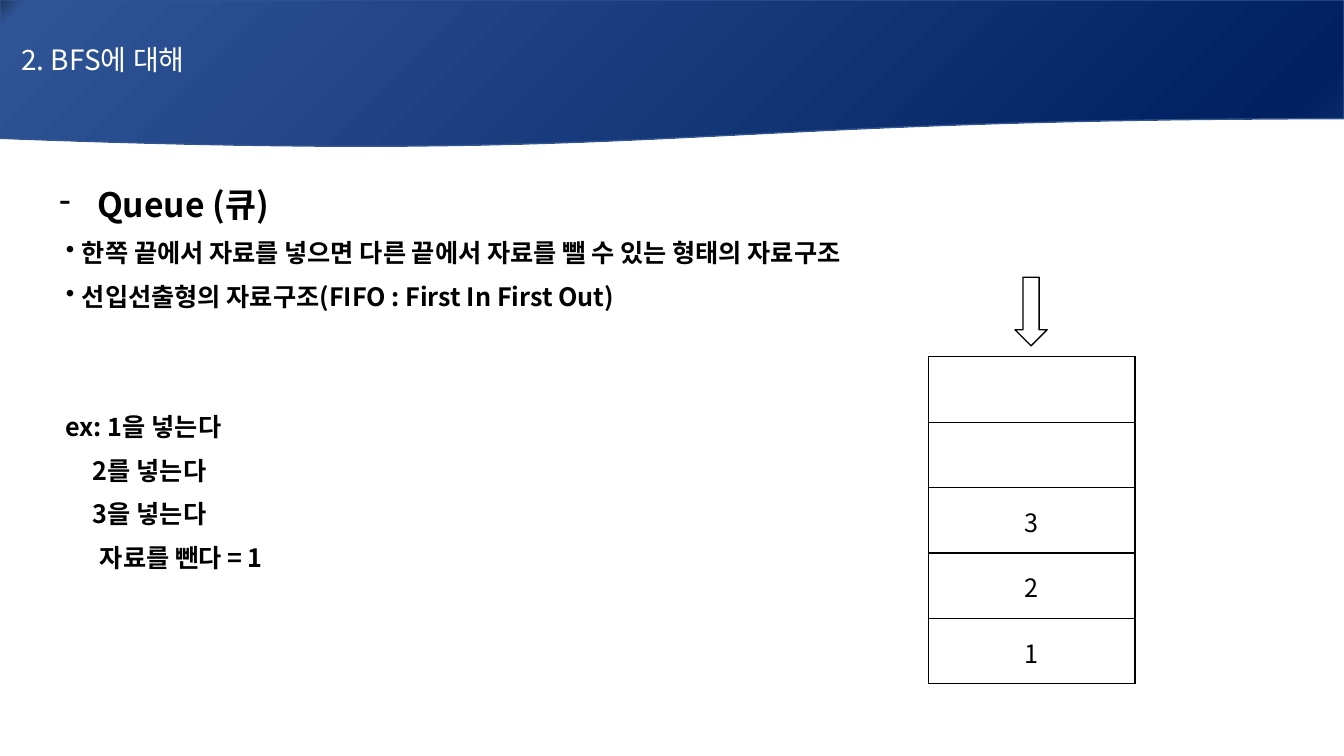
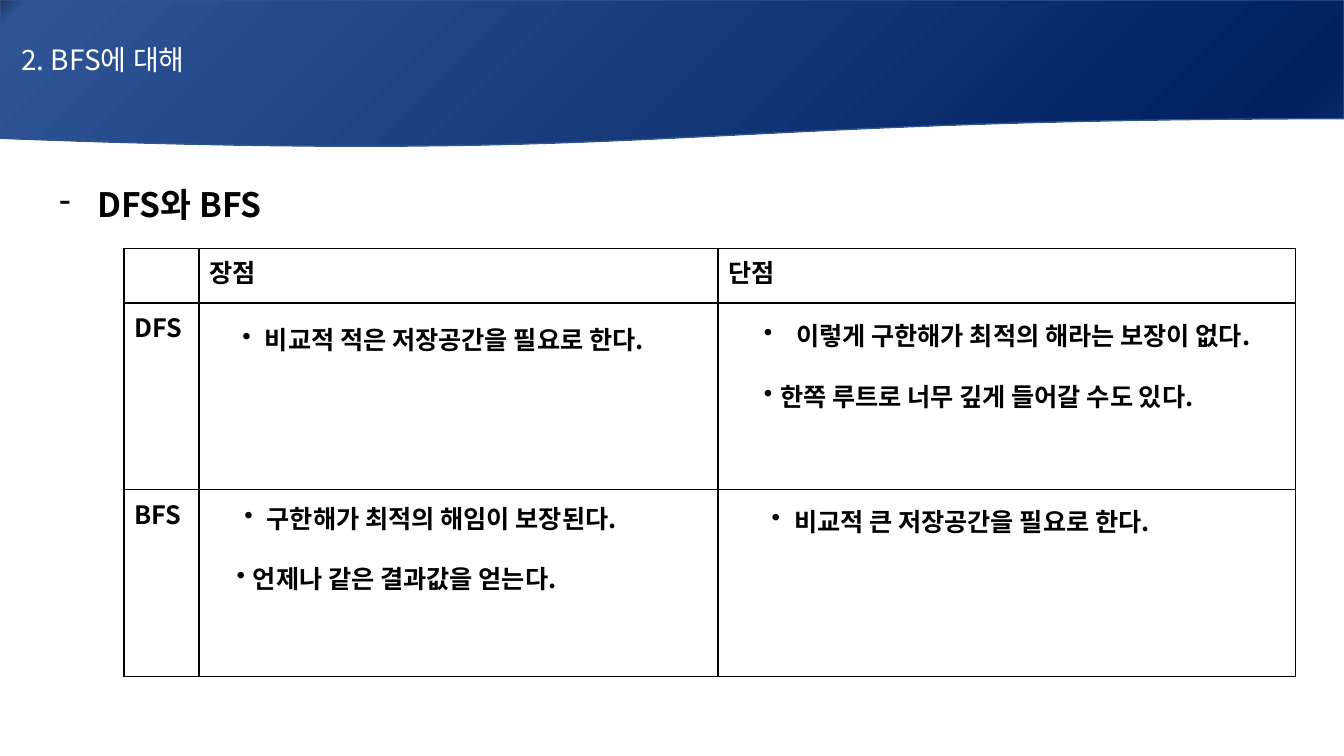
import pptx
import pptx.dml.color
import pptx.enum.shapes
import pptx.enum.text
import pptx.oxml
import pptx.oxml.ns
import pptx.util
from lxml import etree

Pt = pptx.util.Pt
SHAPE = pptx.enum.shapes.MSO_SHAPE
ALIGN = pptx.enum.text.PP_ALIGN
ANCHOR = pptx.enum.text.MSO_ANCHOR


def rgb(hex_color):
    return pptx.dml.color.RGBColor.from_string(hex_color)


def sub(parent, tag, **attrs):
    return etree.SubElement(parent, pptx.oxml.ns.qn(tag), **attrs)


class Deck:
    FONT = "Noto Sans CJK KR"
    BLACK = "000000"
    WHITE = "FFFFFF"
    BAND_LINE = "325491"
    BAND_STOPS = [(0, "203864"), (2, "2F5597"), (94, "002060"), (100, "0D2E6F")]
    WIDTH, HEIGHT = 960, 540
    BODY_SIZE, TITLE_SIZE, HEADING_SIZE = 18, 20, 24

    def __init__(self):
        self.prs = pptx.Presentation()
        self.prs.slide_width = Pt(self.WIDTH)
        self.prs.slide_height = Pt(self.HEIGHT)
        self.s = None

    def slide(self, title):
        self.s = self.prs.slides.add_slide(self.prs.slide_layouts[6])
        self.band(title)

    def style(self, p, size=BODY_SIZE, color=BLACK, bold=False):
        for r in p.runs:
            r.font.size = Pt(size)
            r.font.bold = bold
            r.font.name = self.FONT
            r.font.color.rgb = rgb(color)
            sub(r.font._element, "a:ea", typeface=self.FONT)

    def shape(self, kind, x, y, w, h, line):
        sp = self.s.shapes.add_shape(kind, Pt(x), Pt(y), Pt(w), Pt(h))
        sp.shadow.inherit = False
        sp.line.color.rgb = rgb(line)
        sp.line.width = Pt(1)
        return sp

    def band(self, title):
        sp = self.shape(SHAPE.FLOWCHART_DOCUMENT, 0, 0, self.WIDTH, 105.8, self.BAND_LINE)
        sp.fill.gradient()
        grad = sp._element.spPr.find(pptx.oxml.ns.qn("a:gradFill"))
        for child in list(grad):
            grad.remove(child)
        stops = sub(grad, "a:gsLst")
        for percent, color in self.BAND_STOPS:
            stop = sub(stops, "a:gs", pos=str(percent * 1000))
            sub(stop, "a:srgbClr", val=color)
        sub(grad, "a:lin", ang=str(45 * 60000), scaled="0")
        tf = sp.text_frame
        tf.margin_left = Pt(15.2)
        tf.vertical_anchor = ANCHOR.MIDDLE
        tf.text = title
        tf.paragraphs[0].alignment = ALIGN.LEFT
        self.style(tf.paragraphs[0], self.TITLE_SIZE, self.WHITE)

    def down_arrow(self, x, y, w, h):
        sp = self.shape(SHAPE.DOWN_ARROW, x, y, w, h, self.BLACK)
        sp.fill.solid()
        sp.fill.fore_color.rgb = rgb(self.WHITE)

    def text_box(self, x, y, w, h):
        tf = self.s.shapes.add_textbox(Pt(x), Pt(y), Pt(w), Pt(h)).text_frame
        tf.word_wrap = True
        tf.auto_size = pptx.enum.text.MSO_AUTO_SIZE.SHAPE_TO_FIT_TEXT
        return tf

    def paragraph(self, tf, text, left=0, hang=0, bullet=None, before=0, size=BODY_SIZE, bold=True):
        p = tf.paragraphs[0]
        if p.runs:
            p = tf.add_paragraph()
        p.text = text
        pPr = p._p.get_or_add_pPr()
        pPr.set("marL", str(Pt(left)))
        pPr.set("indent", str(Pt(-hang)))
        if bullet:
            sub(pPr, "a:buChar", char=bullet)
        if before:
            p.space_before = Pt(before)
        self.style(p, size, bold=bold)
        return p

    def body_paragraph(self, tf, text, **options):
        p = self.paragraph(tf, text, **options)
        p.alignment = ALIGN.JUSTIFY
        p.line_spacing = 1.07
        p.space_after = Pt(8)

    def body(self, heading, height):
        tf = self.text_box(35.3, 126, 924.5, height)
        self.body_paragraph(tf, heading, left=27, hang=27, bullet="-", size=self.HEADING_SIZE)
        return tf

    def bullets(self, x, y, w, h, items):
        tf = self.text_box(x, y, w, h)
        for i, (text, left, hang) in enumerate(items):
            self.paragraph(tf, text, left, hang, "•", before=21.7 if i else 0)

    def table(self, x, y, widths, heights, rows):
        table = self.s.shapes.add_table(
            len(heights), len(widths), Pt(x), Pt(y), Pt(sum(widths)), Pt(sum(heights))
        ).table
        table.first_row = False
        table.horz_banding = False
        for column, width in zip(table.columns, widths):
            column.width = Pt(width)
        for row, height, texts in zip(table.rows, heights, rows):
            row.height = Pt(height)
            for cell, text in zip(row.cells, texts):
                self.cell(cell, text)

    def cell(self, cell, text):
        tcPr = cell._tc.get_or_add_tcPr()
        for side in ("a:lnL", "a:lnR", "a:lnT", "a:lnB"):
            ln = sub(tcPr, side, w=str(Pt(1)))
            sub(sub(ln, "a:solidFill"), "a:srgbClr", val=self.BLACK)
        cell.fill.solid()
        cell.fill.fore_color.rgb = rgb(self.WHITE)
        if text:
            cell.text_frame.text = text
            self.style(cell.text_frame.paragraphs[0], bold=True)

    def save(self):
        self.prs.save("out.pptx")


def queue_slide(deck):
    deck.slide("2. BFS에 대해")
    tf = deck.body("Queue (큐)", 319)
    for text in (
        "한쪽 끝에서 자료를 넣으면 다른 끝에서 자료를 뺄 수 있는 형태의 자료구조",
        "선입선출형의 자료구조(FIFO : First In First Out)",
    ):
        deck.body_paragraph(tf, text, left=16.2, hang=11.5, bullet="•")
    deck.body_paragraph(tf, "ex: 1을 넣는다", left=4.5, before=62)
    for text, left in (("2를 넣는다", 24), ("3을 넣는다", 24), ("자료를 뺀다 = 1", 29)):
        deck.body_paragraph(tf, text, left=left)

    slots, slot_height = 5, 46.7
    queue_left, queue_top = 663.1, 254.9
    deck.table(queue_left, queue_top, [147.6], [slot_height] * slots, [[""]] * slots)
    deck.down_arrow(725, 198, 23, 49)
    for number in (1, 2, 3):
        y = queue_top + slot_height * (slots - number) + 10.4
        tf = deck.text_box(725, y, 35.3, 28.8)
        deck.paragraph(tf, str(number), bold=False)


def comparison_slide(deck):
    deck.slide("2. BFS에 대해")
    deck.body("DFS와 BFS", 67.7)
    deck.table(
        88.6, 177.6, [53.5, 370.8, 412.4], [38.9, 133.4, 133.4],
        [["", "장점", "단점"], ["DFS", "", ""], ["BFS", "", ""]],
    )
    deck.bullets(160.6, 228.2, 354.2, 28.8, [("비교적 적은 저장공간을 필요로 한다.", 21.5, 16)])
    deck.bullets(538.6, 225.4, 399.6, 72.7, [
        ("이렇게 구한해가 최적의 해라는 보장이 없다.", 23, 23),
        ("한쪽 루트로 너무 깊게 들어갈 수도 있다.", 11.5, 11.5),
    ])
    deck.bullets(162, 355.7, 354.2, 72.7, [
        ("구한해가 최적의 해임이 보장된다.", 21.5, 16),
        ("언제나 같은 결과값을 얻는다.", 11.5, 11.5),
    ])
    deck.bullets(538.6, 357.8, 354.2, 28.8, [("비교적 큰 저장공간을 필요로 한다.", 21.5, 16)])


def main():
    deck = Deck()
    queue_slide(deck)
    comparison_slide(deck)
    deck.save()


if __name__ == "__main__":
    main()
